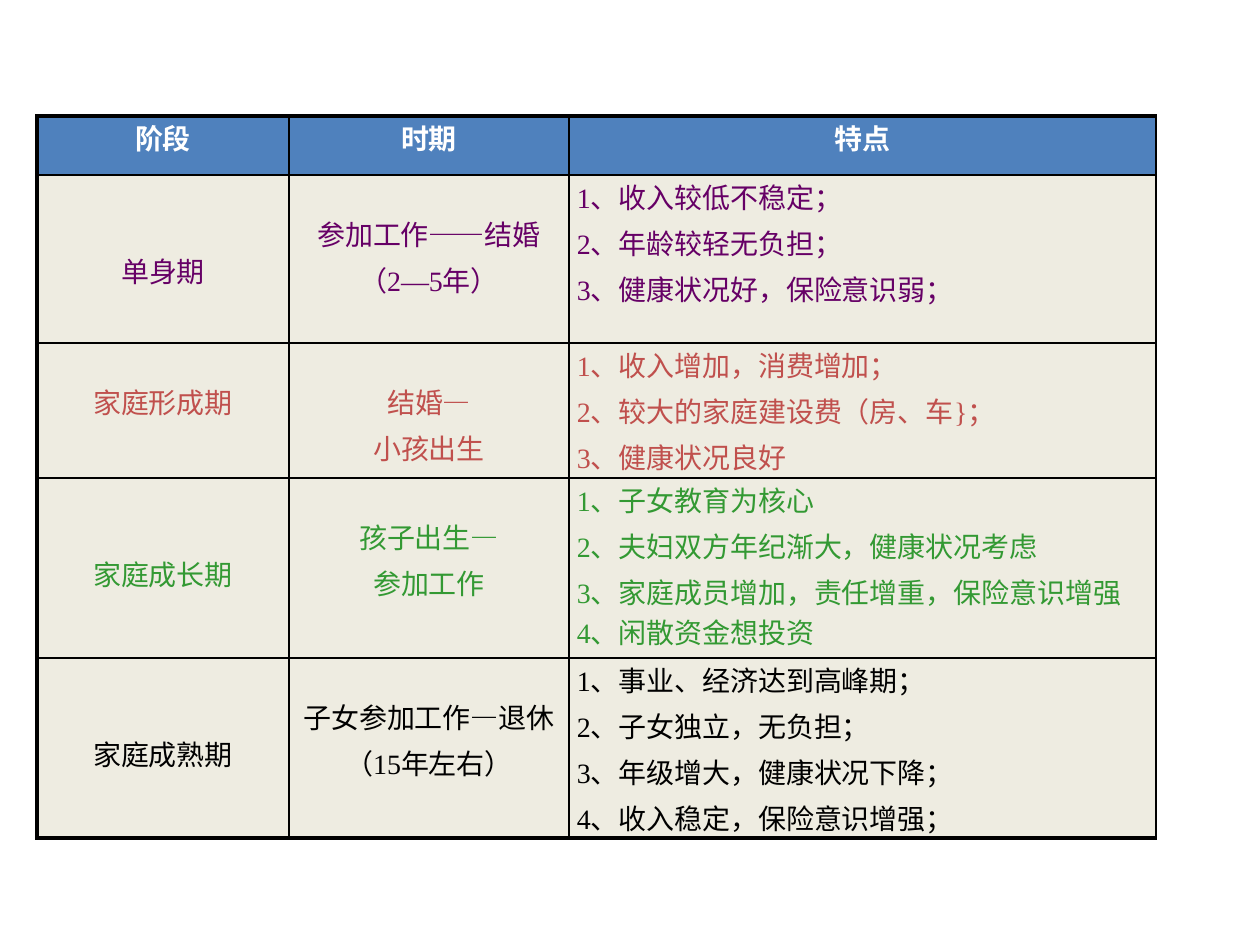
from lxml import etree
from pptx import Presentation
from pptx.dml.color import RGBColor
from pptx.enum.text import PP_ALIGN as AL, MSO_ANCHOR as MA
from pptx.oxml.ns import qn
from pptx.util import Emu, Pt

COLORS = {
    "header": "4F81BD", "body": "EEECE1", "white": "FFFFFF", "black": "000000",
    "purple": "660066", "red": "C0504D", "green": "339933",
}
HEADER = ["阶段", "时期", "特点"]
STAGES = [
    ("purple", 2, ["单身期"], ["参加工作——结婚", "（2—5年）"],
     ["1、收入较低不稳定；", "2、年龄较轻无负担；", "3、健康状况好，保险意识弱；"]),
    ("red", 1, ["家庭形成期"], ["结婚—", "小孩出生"],
     ["1、收入增加，消费增加；", "2、较大的家庭建设费（房、车}；", "3、健康状况良好"]),
    ("green", 2, ["家庭成长期"], ["孩子出生—", "参加工作"],
     ["1、子女教育为核心", "2、夫妇双方年纪渐大，健康状况考虑",
      "3、家庭成员增加，责任增重，保险意识增强4、闲散资金想投资"]),
    ("black", 2, ["家庭成熟期"], ["子女参加工作—退休", "（15年左右）"],
     ["1、事业、经济达到高峰期；", "2、子女独立，无负担；",
      "3、年级增大，健康状况下降；", "4、收入稳定，保险意识增强；"]),
]
LEFT, TOP = 37, 116
COLS = [252, 280, 587]
ROWS = [59, 168, 135, 180, 158]
LINE_STEP = 37
THIN, THICK = 1, 2.25


def px(n):
    return Emu(round(n * 914400 / 126))


def rgb(name):
    return RGBColor.from_string(COLORS[name])


def write(cell, lines, color, bold=False, align=AL.CENTER, skip=0):
    cell.margin_left = cell.margin_right = px(8)
    cell.margin_top = px(1 + skip * LINE_STEP)
    cell.margin_bottom = px(1)
    cell.vertical_anchor = MA.TOP
    tf = cell.text_frame
    for i, line in enumerate(lines):
        p = tf.paragraphs[0] if i == 0 else tf.add_paragraph()
        p.alignment = align
        if i:
            p.space_before = Pt(3.2)
        r = p.add_run()
        r.text = line
        r.font.name = "Times New Roman"
        r.font.size = Pt(16)
        r.font.bold = bold
        r.font.color.rgb = rgb(color)


def paint(cell, fill, widths):
    tc_pr = cell._tc.get_or_add_tcPr()
    for side, width in zip("LRTB", widths):
        ln = etree.SubElement(tc_pr, qn(f"a:ln{side}"), w=str(Pt(width)))
        solid = etree.SubElement(ln, qn("a:solidFill"))
        etree.SubElement(solid, qn("a:srgbClr"), val=COLORS["black"])
    cell.fill.solid()
    cell.fill.fore_color.rgb = rgb(fill)


prs = Presentation()
prs.slide_width, prs.slide_height = px(1260), px(945)
s = prs.slides.add_slide(prs.slide_layouts[6])
table = s.shapes.add_table(len(ROWS), len(COLS), px(LEFT), px(TOP),
                           px(sum(COLS)), px(sum(ROWS))).table
table.first_row = table.horz_banding = False
for col, width in zip(table.columns, COLS):
    col.width = px(width)
for row, height in zip(table.rows, ROWS):
    row.height = px(height)

for c, title in enumerate(HEADER):
    write(table.cell(0, c), [title], "white", bold=True)
for r, (color, skip, stage, period, traits) in enumerate(STAGES, 1):
    write(table.cell(r, 0), stage, color, skip=skip)
    write(table.cell(r, 1), period, color, skip=1)
    write(table.cell(r, 2), traits, color, align=AL.LEFT)

for r in range(len(ROWS)):
    for c in range(len(COLS)):
        paint(table.cell(r, c), "body" if r else "header",
              (THIN if c else THICK, THIN, THIN if r else THICK,
               THICK if r == len(ROWS) - 1 else THIN))

prs.save("out.pptx")
